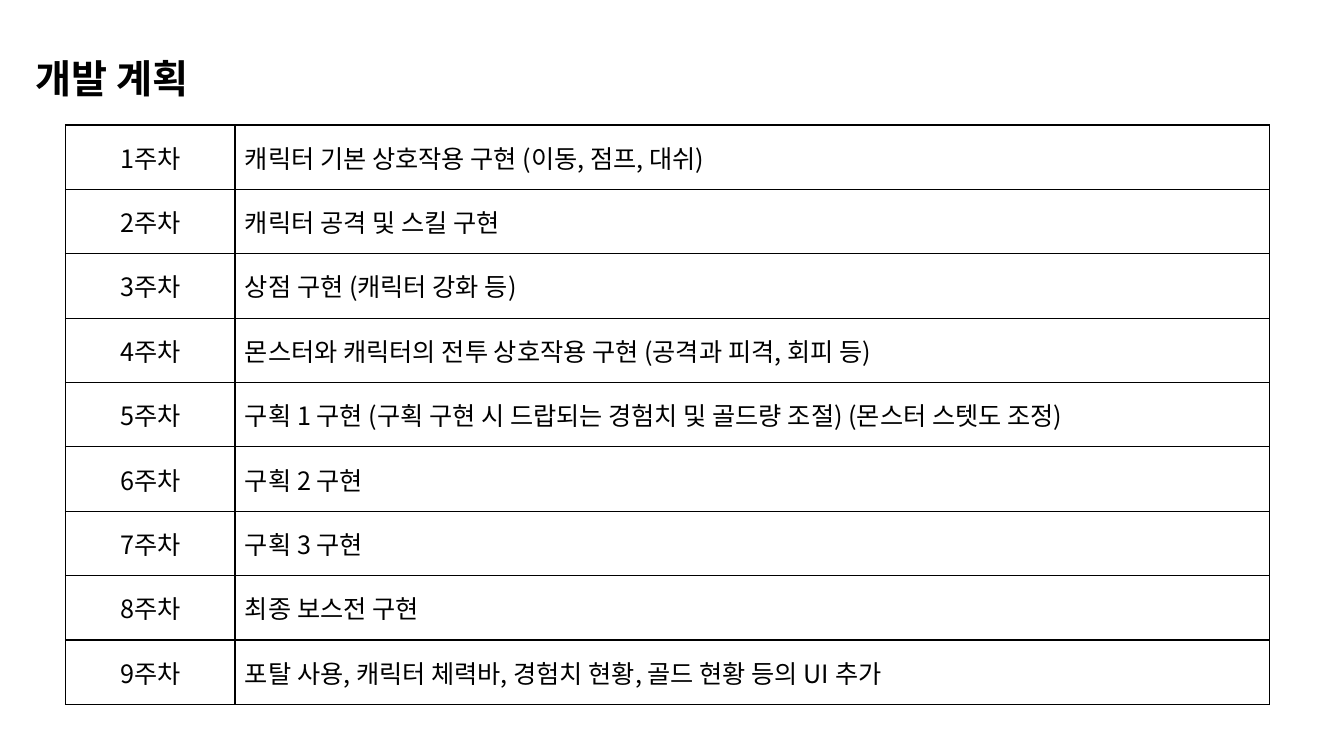
from dataclasses import dataclass

from lxml import etree
from pptx import Presentation
from pptx import util as u
from pptx.dml.color import RGBColor
from pptx.enum import text
from pptx.oxml.ns import qn


@dataclass
class Theme:
    font: str = "Noto Sans CJK KR"
    ink: str = "000000"
    paper: str = "FFFFFF"
    title_size: int = 28
    body_size: int = 18
    border: int = 1


theme = Theme()
plans = [
    "캐릭터 기본 상호작용 구현 (이동, 점프, 대쉬)",
    "캐릭터 공격 및 스킬 구현",
    "상점 구현 (캐릭터 강화 등)",
    "몬스터와 캐릭터의 전투 상호작용 구현 (공격과 피격, 회피 등)",
    "구획 1 구현 (구획 구현 시 드랍되는 경험치 및 골드량 조절) (몬스터 스텟도 조정)",
    "구획 2 구현",
    "구획 3 구현",
    "최종 보스전 구현",
    "포탈 사용, 캐릭터 체력바, 경험치 현황, 골드 현황 등의 UI 추가",
]


def write(frame, words, size, align, bold=False):
    frame.text = words
    para = frame.paragraphs[0]
    para.alignment = align
    span = para.runs[0]
    span.font.size = u.Pt(size)
    span.font.bold = bold
    span.font.color.rgb = RGBColor.from_string(theme.ink)
    span.font.name = theme.font
    # East Asian glyphs use the same face
    etree.SubElement(span.font._element, qn("a:ea"), typeface=theme.font)


def outline(cell):
    properties = cell._tc.get_or_add_tcPr()
    for side in ("lnL", "lnR", "lnT", "lnB"):
        line = etree.SubElement(properties, qn("a:" + side), w=str(u.Pt(theme.border)))
        fill = etree.SubElement(line, qn("a:solidFill"))
        etree.SubElement(fill, qn("a:srgbClr"), val=theme.ink)


# Slide
deck = Presentation()
deck.slide_width, deck.slide_height = u.Inches(13.33), u.Inches(7.5)
page = deck.slides.add_slide(deck.slide_layouts[5])

# Title
title = page.shapes.title
title.left, title.top = u.Inches(0.25), u.Inches(0.49)
title.width, title.height = u.Inches(1.91), u.Inches(0.57)
write(title.text_frame, "개발 계획", theme.title_size, text.PP_ALIGN.LEFT, bold=True)
title.text_frame.word_wrap = False
title.text_frame.auto_size = text.MSO_AUTO_SIZE.NONE
title.text_frame.vertical_anchor = text.MSO_ANCHOR.MIDDLE

# Weekly plan: one row per week, equal heights
columns = [1.68, 10.26]
table_height = 5.75
table = page.shapes.add_table(
    len(plans), len(columns), u.Inches(0.65), u.Inches(1.24),
    u.Inches(sum(columns)), u.Inches(table_height),
).table
table.first_row = table.horz_banding = False
for column, width in zip(table.columns, columns):
    column.width = u.Inches(width)

for week, (row, plan) in enumerate(zip(table.rows, plans), start=1):
    row.height = u.Inches(table_height / len(plans))
    entries = [(f"{week}주차", text.PP_ALIGN.CENTER), (plan, text.PP_ALIGN.LEFT)]
    for cell, (words, align) in zip(row.cells, entries):
        write(cell.text_frame, words, theme.body_size, align)
        cell.vertical_anchor = text.MSO_ANCHOR.MIDDLE
        outline(cell)
        cell.fill.solid()
        cell.fill.fore_color.rgb = RGBColor.from_string(theme.paper)

deck.save("out.pptx")
